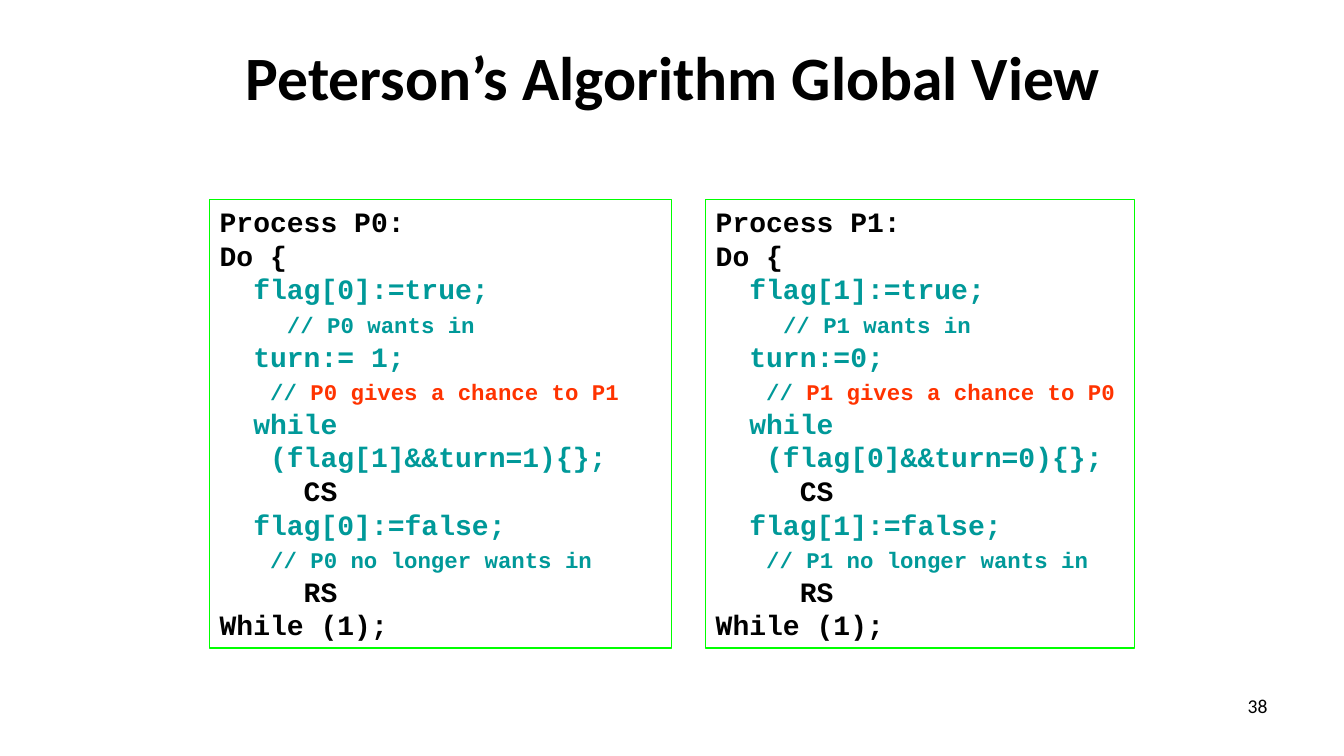
from pptx import Presentation
from pptx.dml.color import RGBColor
from pptx.enum import shapes, text
from pptx.util import Inches, Pt

BLACK, TEAL, RED, GREEN = "000000", "009999", "FF3300", "00FF00"
CODE, COMMENT = 20, 16


def rgb(color):
    return RGBColor.from_string(color)


def add_run(p, words, size, color, font, bold=False):
    r = p.add_run()
    r.text = words
    r.font.name = font
    r.font.size = Pt(size)
    r.font.bold = bold
    r.font.color.rgb = rgb(color)


def add_label(s, words, box, size, align, anchor, bold=False):
    tf = s.shapes.add_textbox(*map(Inches, box)).text_frame
    tf.word_wrap = True
    tf.vertical_anchor = anchor
    p = tf.paragraphs[0]
    p.alignment = align
    add_run(p, words, size, BLACK, "Calibri", bold)


def process_code(me, other, turn_line):
    """Lines of one process, each a list of (text, size, color) runs."""
    return [
        [(f"Process P{me}:", CODE, BLACK)],
        [("Do {", CODE, BLACK)],
        [(f"  flag[{me}]:=true;", CODE, TEAL)],
        [("    ", CODE, TEAL), (f"// P{me} wants in", COMMENT, TEAL)],
        [(turn_line, CODE, TEAL)],
        [("   ", CODE, TEAL), ("// ", COMMENT, TEAL),
         (f"P{me} gives a chance to P{other}", COMMENT, RED)],
        [("  while", CODE, TEAL)],
        [(f"   (flag[{other}]&&turn={other}){{}};", CODE, TEAL)],
        [("     CS", CODE, BLACK)],
        [(f"  flag[{me}]:=false;", CODE, TEAL)],
        [("   ", CODE, TEAL), (f"// P{me} no longer wants in", COMMENT, TEAL)],
        [("     RS", CODE, BLACK)],
        [("While (1);", CODE, BLACK)],
    ]


def add_code_box(s, left, width, lines):
    sp = s.shapes.add_shape(shapes.MSO_SHAPE.RECTANGLE, Inches(left),
                            Inches(1.98), Inches(width), Inches(4.45))
    sp.shadow.inherit = False
    sp.fill.background()
    sp.line.color.rgb = rgb(GREEN)
    sp.line.width = Pt(1)
    tf = sp.text_frame
    tf.word_wrap = True
    tf.auto_size = text.MSO_AUTO_SIZE.SHAPE_TO_FIT_TEXT
    tf.vertical_anchor = text.MSO_ANCHOR.TOP
    for i, line in enumerate(lines):
        p = tf.add_paragraph() if i else tf.paragraphs[0]
        p.alignment = text.PP_ALIGN.LEFT
        for words, size, color in line:
            add_run(p, words, size, color, "Courier New", True)


def main():
    prs = Presentation()
    prs.slide_width, prs.slide_height = Inches(13.33), Inches(7.5)
    s = prs.slides.add_slide(prs.slide_layouts[6])

    # The two processes side by side
    add_code_box(s, 2.08, 4.58, process_code(0, 1, "  turn:= 1;"))
    add_code_box(s, 7, 4.25, process_code(1, 0, "  turn:=0;"))

    # Title and slide number
    add_label(s, "Peterson’s Algorithm Global View", (0.68, 0.13, 12, 1.25), 44,
              text.PP_ALIGN.CENTER, text.MSO_ANCHOR.MIDDLE, bold=True)
    add_label(s, "38", (9.56, 6.83, 3.11, 0.52), 14,
              text.PP_ALIGN.RIGHT, text.MSO_ANCHOR.TOP)

    prs.save("out.pptx")


if __name__ == "__main__":
    main()
